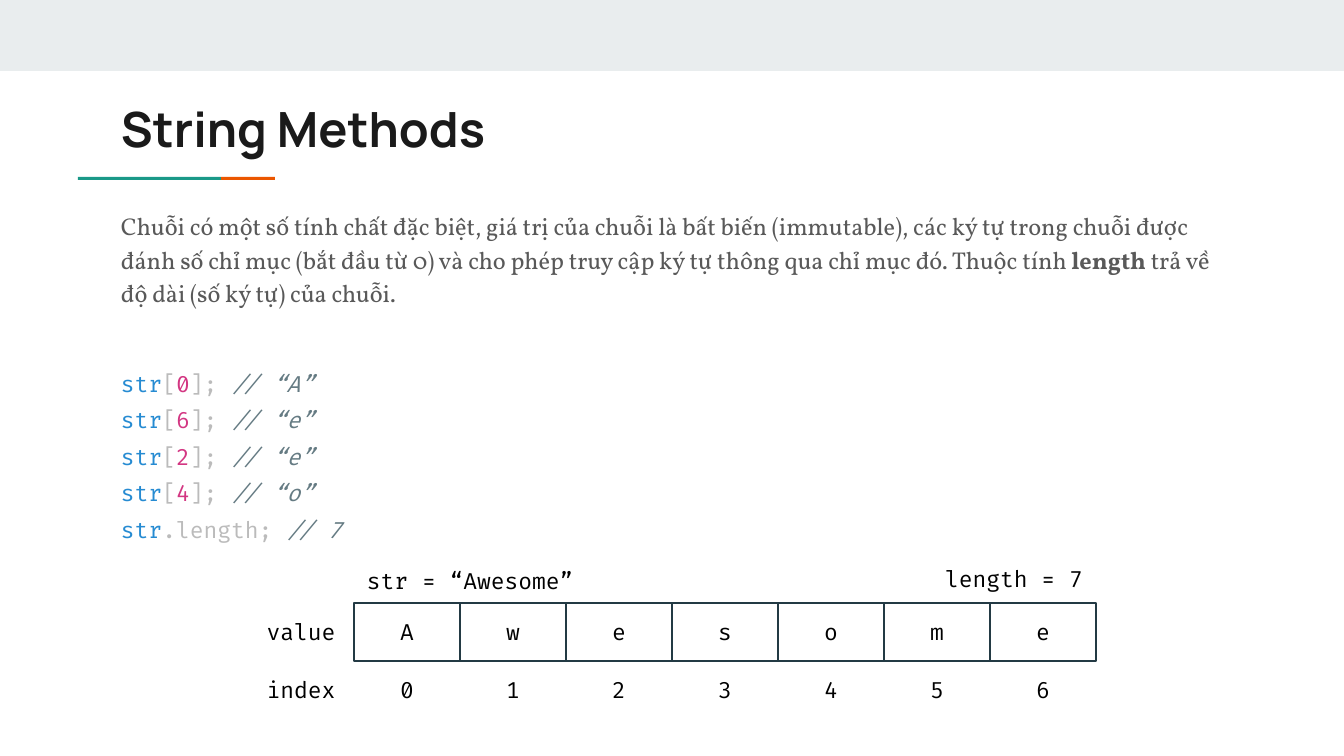
from pptx import Presentation
from pptx.dml.color import RGBColor
from pptx.enum.shapes import MSO_SHAPE
from pptx.enum.text import MSO_ANCHOR, PP_ALIGN
from pptx.util import Pt

PX = 914400 / 134.4
WHITE = RGBColor(0xFF, 0xFF, 0xFF)
BAND = RGBColor(0xE9, 0xED, 0xEE)
GREEN = RGBColor(0x1A, 0x99, 0x88)
ORANGE = RGBColor(0xEB, 0x56, 0x00)
INK = RGBColor(0x1A, 0x1A, 0x1A)
GRAY = RGBColor(0x59, 0x59, 0x59)
BLACK = RGBColor(0, 0, 0)
BORDER = RGBColor(0x23, 0x3A, 0x44)
NAME = RGBColor(0x26, 0x8B, 0xD2)
PUNCTUATION = RGBColor(0xBB, 0xBB, 0xBB)
NUMBER = RGBColor(0xD3, 0x36, 0x82)
COMMENT = RGBColor(0x65, 0x7B, 0x83)


def add_rectangle(left, top, width, height, fill=None):
    box = [round(n * PX) for n in (left, top, width, height)]
    shape = slide.shapes.add_shape(MSO_SHAPE.RECTANGLE, *box)
    shape.shadow.inherit = False
    if fill is None:
        shape.fill.background()
        shape.line.color.rgb = BORDER
        shape.line.width = Pt(0.75)
    else:
        shape.fill.solid()
        shape.fill.fore_color.rgb = fill
        shape.line.fill.background()
    return shape


def add_text(left, top, width, height, text="", font="Fira Code", size=12, color=BLACK,
             align=PP_ALIGN.LEFT, anchor=MSO_ANCHOR.TOP, shape=None):
    if shape is None:
        box = [round(n * PX) for n in (left, top, width, height)]
        shape = slide.shapes.add_textbox(*box)
    frame = shape.text_frame
    frame.word_wrap = True
    frame.vertical_anchor = anchor
    frame.margin_left = frame.margin_right = round(13 * PX)
    frame.margin_top = frame.margin_bottom = round(13 * PX)
    paragraph = frame.paragraphs[0]
    paragraph.text = text
    paragraph.alignment = align
    paragraph.font.name = font
    paragraph.font.size = Pt(size)
    paragraph.font.color.rgb = color
    return frame


presentation = Presentation()
presentation.slide_width = round(1344 * PX)
presentation.slide_height = round(756 * PX)
slide = presentation.slides.add_slide(presentation.slide_layouts[6])
slide.background.fill.solid()
slide.background.fill.fore_color.rgb = WHITE

add_rectangle(0, 0, 1344, 71, BAND)
add_rectangle(221, 177, 54, 3, ORANGE)
add_rectangle(78, 177, 143, 3, GREEN)

body = add_text(108, 194, 1130, 527, font="Vollkorn", size=13, color=GRAY).paragraphs[0]
body.line_spacing = 1.15
body.space_before = body.space_after = Pt(10)
for text, bold in [
    ("Chuỗi có một số tính chất đặc biệt, giá trị của chuỗi là bất biến (immutable), "
     "các ký tự trong chuỗi được đánh số chỉ mục (bắt đầu từ 0) và cho phép truy cập "
     "ký tự thông qua chỉ mục đó. Thuộc tính ", False),
    ("length", True),
    (" trả về độ dài (số ký tự) của chuỗi.", False),
]:
    run = body.add_run()
    run.text = text
    run.font.bold = bold

title = add_text(108, 86, 1130, 79, "String Methods", "Manrope", 26, INK)
title.paragraphs[0].font.bold = True

CELL_LEFT, CELL_WIDTH, CELL_HEIGHT = 354, 106, 58
VALUE_TOP = 603
INDEX_TOP = VALUE_TOP + CELL_HEIGHT
CENTERED = {"align": PP_ALIGN.CENTER, "anchor": MSO_ANCHOR.MIDDLE}
for index, letter in enumerate("Awesome"):
    left = CELL_LEFT + index * CELL_WIDTH
    value_box = (left, VALUE_TOP, CELL_WIDTH, CELL_HEIGHT)
    add_text(*value_box, letter, shape=add_rectangle(*value_box), **CENTERED)
    add_text(left, INDEX_TOP, CELL_WIDTH, CELL_HEIGHT, str(index), **CENTERED)
for label, top in [("value", VALUE_TOP), ("index", INDEX_TOP)]:
    add_text(CELL_LEFT - CELL_WIDTH, top, CELL_WIDTH, CELL_HEIGHT, label, **CENTERED)

add_text(920, 554, 176, 49, "length = 7", align=PP_ALIGN.RIGHT, anchor=MSO_ANCHOR.MIDDLE)
add_text(CELL_LEFT, 554, 599, 49, "str = “Awesome”")

code_lines = [
    [("str", NAME), ("[", PUNCTUATION), (index, NUMBER), ("]; ", PUNCTUATION),
     (f"// “{letter}”", COMMENT)]
    for index, letter in [("0", "A"), ("6", "e"), ("2", "e"), ("4", "o")]
]
code_lines.append([("str", NAME), (".length; ", PUNCTUATION), ("// 7", COMMENT)])
code = add_text(108, 347, 441, 219)
for number, line in enumerate(code_lines):
    paragraph = code.add_paragraph() if number else code.paragraphs[0]
    paragraph.line_spacing = 1.36
    paragraph.font.name = "Fira Code"
    paragraph.font.size = Pt(12)
    for text, color in line:
        run = paragraph.add_run()
        run.text = text
        run.font.color.rgb = color
        run.font.italic = color == COMMENT

presentation.save("out.pptx")
